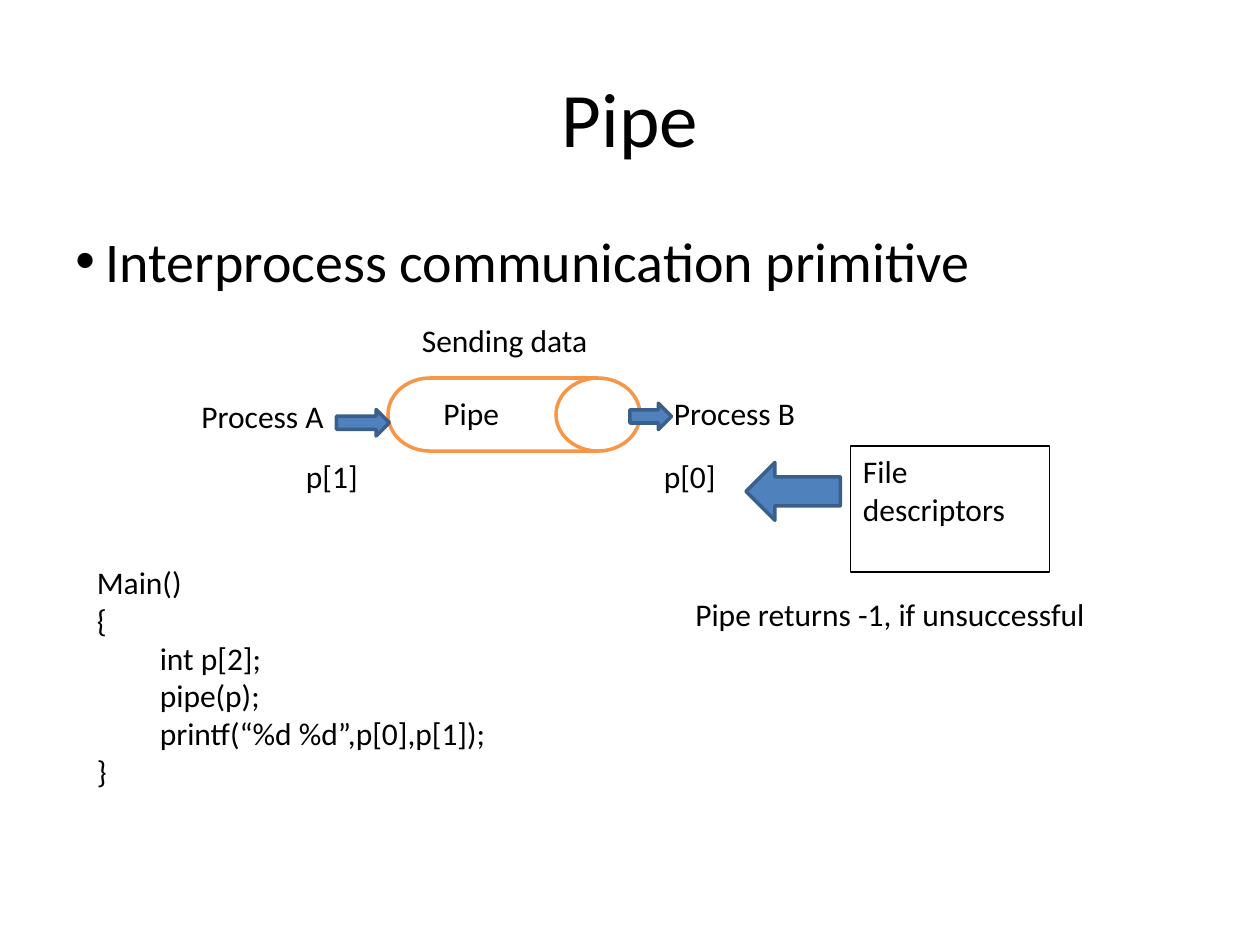
"""Build a slide that explains the pipe primitive between two processes."""
from dataclasses import dataclass

import lxml.etree
import pptx
import pptx.dml.color
import pptx.enum.shapes
import pptx.enum.text
import pptx.oxml.ns
import pptx.util

Inches = pptx.util.Inches
Pt = pptx.util.Pt
Kind = pptx.enum.shapes.MSO_SHAPE
Align = pptx.enum.text.PP_ALIGN
Anchor = pptx.enum.text.MSO_ANCHOR


@dataclass(frozen=True)
class Theme:
    font: str = "Calibri"
    ink: str = "000000"
    paper: str = "FFFFFF"
    drum: str = "F79646"
    arrow: str = "4F81BD"
    edge: str = "3A5F8B"
    title: int = 44
    lead: int = 32
    body: int = 18


THEME = Theme()
CODE = """Main()
{
\tint p[2];
\tpipe(p);
\tprintf(“%d %d”,p[0],p[1]);
}"""
LABELS = (
    ("Process A", 1.5, 3.1, 2.08, 0.4),
    ("Process B", 5.25, 3.08, 2.08, 0.4),
    ("Sending data", 3.25, 2.5, 2.17, 0.4),
    ("Pipe", 3.42, 3.08, 0.75, 0.4),
    (CODE, 0.67, 4.42, 6.5, 1.9),
    ("Pipe returns -1, if unsuccessful", 5.42, 4.67, 4.33, 0.4),
    ("p[1]", 2.33, 3.58, 0.92, 0.4),
    ("p[0]", 5.17, 3.58, 0.92, 0.4),
)
ARROWS = (
    (Kind.RIGHT_ARROW, 2.67, 3.25, 0.42, 0.21),
    (Kind.RIGHT_ARROW, 5, 3.2, 0.33, 0.21),
    (Kind.LEFT_ARROW, 5.92, 3.67, 0.75, 0.46),
)


def color(code):
    return pptx.dml.color.RGBColor.from_string(code)


def write(shape, text, size, align=Align.LEFT, anchor=Anchor.TOP):
    frame = shape.text_frame
    frame.text = text
    frame.word_wrap = True
    frame.vertical_anchor = anchor
    for para in frame.paragraphs:
        para.alignment = align
        for run in para.runs:
            run.font.name = THEME.font
            run.font.size = Pt(size)
            run.font.color.rgb = color(THEME.ink)


def add_title(slide, text, *box):
    title = slide.shapes.title
    title.left, title.top, title.width, title.height = map(Inches, box)
    write(title, text, THEME.title, Align.CENTER, Anchor.MIDDLE)


def add_label(slide, text, *box, size=THEME.body):
    label = slide.shapes.add_textbox(*map(Inches, box))
    write(label, text, size)
    return label


def add_bullet(slide, text, *box):
    label = add_label(slide, text, *box, size=THEME.lead)
    props = label.text_frame.paragraphs[0]._p.get_or_add_pPr()
    hang = Inches(0.24)
    props.set("marL", str(hang))
    props.set("indent", str(-hang))
    font = lxml.etree.SubElement(props, pptx.oxml.ns.qn("a:buFont"))
    font.set("typeface", "Arial")
    mark = lxml.etree.SubElement(props, pptx.oxml.ns.qn("a:buChar"))
    mark.set("char", "•")


def add_shape(slide, kind, *box, fill=None, line=THEME.edge, width=2):
    shape = slide.shapes.add_shape(kind, *map(Inches, box))
    shape.shadow.inherit = False
    if fill:
        shape.fill.solid()
        shape.fill.fore_color.rgb = color(fill)
    else:
        shape.fill.background()
    shape.line.color.rgb = color(line)
    shape.line.width = Pt(width)
    return shape


def main():
    deck = pptx.Presentation()
    deck.slide_width, deck.slide_height = Inches(10), Inches(7.5)
    slide = deck.slides.add_slide(deck.slide_layouts[5])
    add_title(slide, "Pipe", 0.5, 0.3, 9, 1.25)
    add_bullet(slide, "Interprocess communication primitive", 0.5, 1.75, 9, 4.95)
    add_shape(slide, Kind.FLOWCHART_DIRECT_ACCESS_STORAGE, 3.08, 3, 2, 0.58,
              fill=THEME.paper, line=THEME.drum)
    for arrow in ARROWS:
        add_shape(slide, *arrow, fill=THEME.arrow)
    for label in LABELS:
        add_label(slide, *label)
    note = add_shape(slide, Kind.RECTANGLE, 6.75, 3.54, 1.58, 1,
                     line=THEME.ink, width=0.75)
    write(note, "File descriptors", THEME.body)
    deck.save("out.pptx")


if __name__ == "__main__":
    main()
